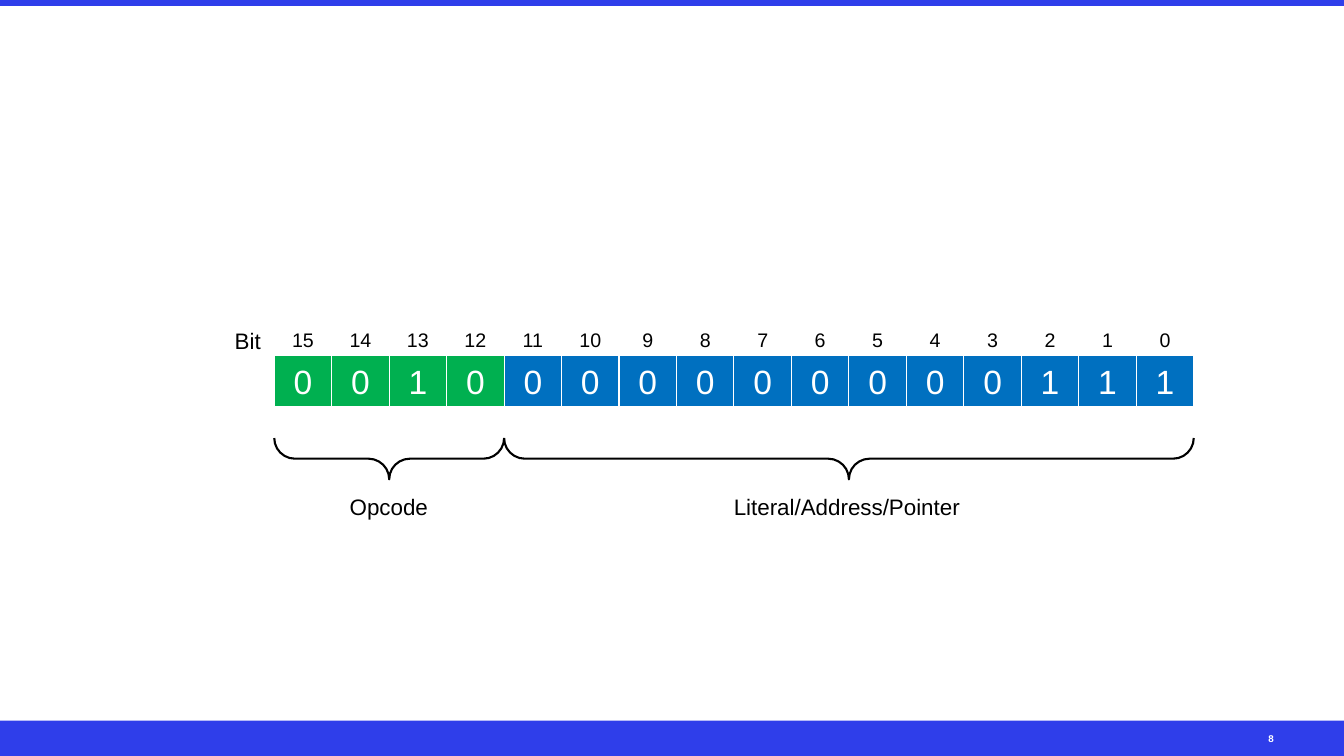
"""Build a slide that splits a 16-bit instruction word into its fields."""
from pptx import Presentation
from pptx.dml.color import RGBColor
from pptx.enum.shapes import MSO_SHAPE
from pptx.enum.text import MSO_ANCHOR, PP_ALIGN
from pptx.util import Inches, Pt

COLORS = {"band": "2F3EEA", "code": "00B050", "data": "0070C0",
          "white": "FFFFFF", "black": "000000"}
WIDE, HIGH = 13.33, 7.5
LEFT, COL = 2.72, 0.57
WORD = "0010000000000111"
SPLIT = 4

deck = Presentation()
deck.slide_width, deck.slide_height = Inches(WIDE), Inches(HIGH)
slide = deck.slides.add_slide(deck.slide_layouts[6])


def draw(kind, x, y, w, h, fill=None, line=None, width=0.75):
    """Add a preset shape with the given fill and line colours."""
    shape = slide.shapes.add_shape(kind, *map(Inches, (x, y, w, h)))
    shape.shadow.inherit = False
    if fill:
        shape.fill.solid()
        shape.fill.fore_color.rgb = RGBColor.from_string(COLORS[fill])
    else:
        shape.fill.background()
    if line:
        shape.line.color.rgb = RGBColor.from_string(COLORS[line])
        shape.line.width = Pt(width)
    else:
        shape.line.fill.background()
    return shape


def write(shape, text, size, color="black", align=PP_ALIGN.CENTER,
          bold=False, wrap=True, anchor=MSO_ANCHOR.TOP):
    """Put one formatted line of text in a shape."""
    frame = shape.text_frame
    frame.word_wrap, frame.vertical_anchor = wrap, anchor
    para = frame.paragraphs[0]
    para.text, para.alignment = text, align
    font = para.runs[0].font
    for name, value in {"name": "Arial", "size": Pt(size), "bold": bold}.items():
        setattr(font, name, value)
    font.color.rgb = RGBColor.from_string(COLORS[color])


for top, height in ((HIGH - 0.35, 0.35), (0, 0.06)):
    draw(MSO_SHAPE.RECTANGLE, 0, top, WIDE, height, "band")

page = slide.shapes.add_textbox(*map(Inches, (12.58, HIGH - 0.35, 0.47, 0.35)))
for side in ("left", "top", "right", "bottom"):
    setattr(page.text_frame, f"margin_{side}", 0)
write(page, "8", 7, "white", PP_ALIGN.LEFT, True, anchor=MSO_ANCHOR.MIDDLE)

for col, bit in enumerate(WORD):
    x = LEFT + col * COL
    fill = "code" if col < SPLIT else "data"
    cell = draw(MSO_SHAPE.RECTANGLE, x, 3.53, COL, 0.5, fill, "white")
    write(cell, bit, 24, "white")
    label = slide.shapes.add_textbox(*map(Inches, (x, 3.2, COL, 0.34)))
    write(label, str(len(WORD) - 1 - col), 14)

for first, last in ((0, SPLIT), (SPLIT, len(WORD))):
    mid, span = LEFT + (first + last) / 2 * COL, (last - first) * COL
    brace = draw(MSO_SHAPE.LEFT_BRACE, mid - 0.41 / 2, 4.55 - span / 2,
                 0.41, span, line="black", width=1.5)
    brace.rotation = 270
    brace.adjustments[0] = 0.5

for text, x, y, width in (("Bit", 2.23, 3.2, 0.46),
                          ("Opcode", 3.37, 4.84, 0.99),
                          ("Literal/Address/Pointer", 7.18, 4.84, 2.47)):
    label = slide.shapes.add_textbox(*map(Inches, (x, y, width, 0.37)))
    write(label, text, 16, align=PP_ALIGN.LEFT, wrap=False)

deck.save("out.pptx")
